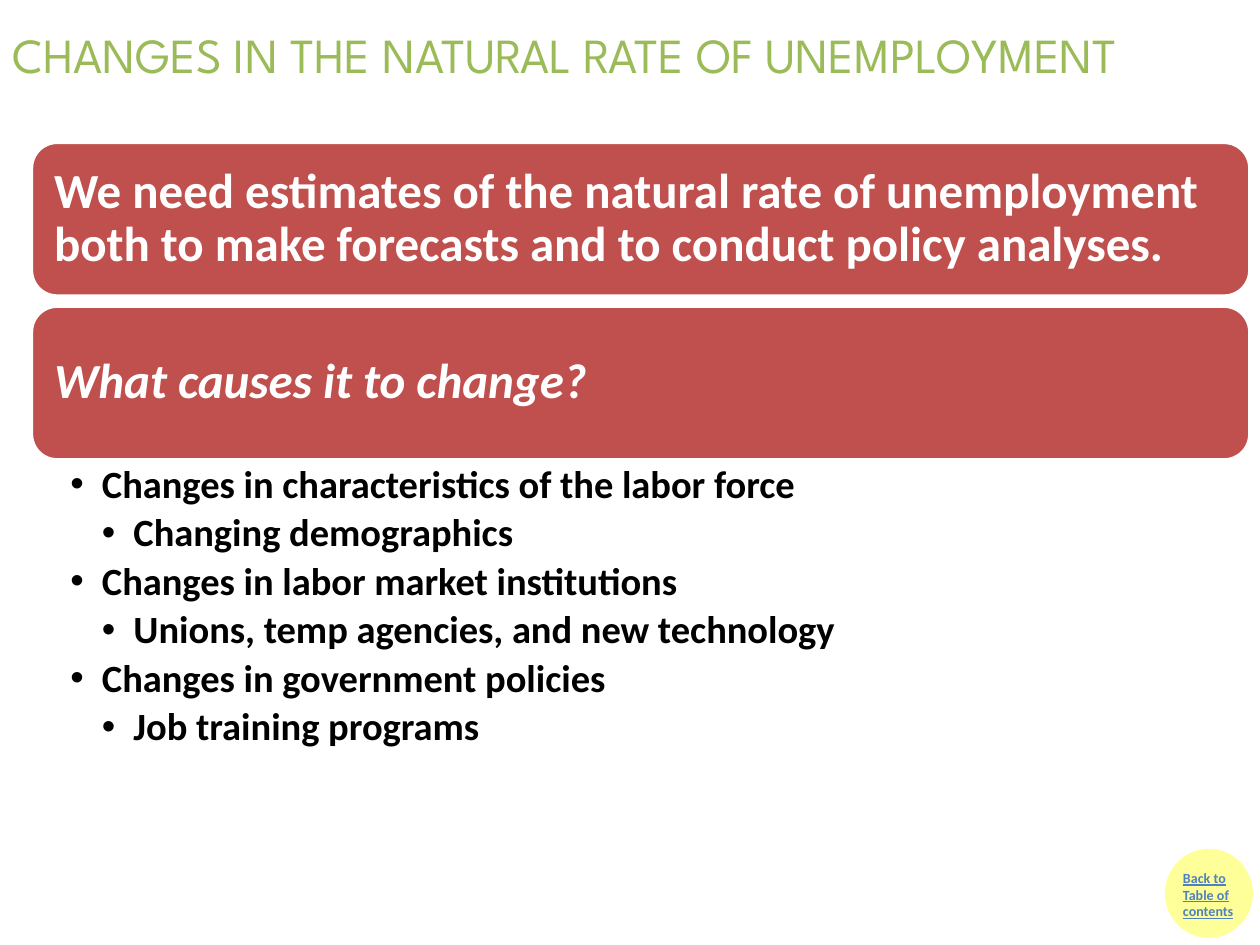
from dataclasses import dataclass

from lxml import etree
from pptx import Presentation
from pptx import util as u
from pptx.dml.color import RGBColor
from pptx.enum import shapes, text
from pptx.oxml.ns import qn


@dataclass(frozen=True)
class Theme:
    green: str = "9BBB59"
    red: str = "C0504D"
    yellow: str = "FFFF99"
    blue: str = "4F81BD"
    white: str = "FFFFFF"
    black: str = "000000"
    head: str = "League Spartan"
    body: str = "Calibri"
    big: int = 28
    mid: int = 22
    small: int = 8


theme = Theme()


def style(para, size, color, name=theme.body, bold=True):
    para.alignment = text.PP_ALIGN.LEFT
    for run in para.runs:
        font = run.font
        font.name, font.size, font.bold = name, u.Pt(size), bold
        font.color.rgb = RGBColor.from_string(color)


def panel(kind, box, fill, line):
    shape = slide.shapes.add_shape(kind, *map(u.Inches, box))
    shape.shadow.inherit = False
    shape.fill.solid()
    shape.fill.fore_color.rgb = RGBColor.from_string(fill)
    shape.line.color.rgb = RGBColor.from_string(line)
    shape.line.width = u.Pt(2)
    return shape


deck = Presentation()
deck.slide_width, deck.slide_height = u.Inches(10), u.Inches(7.5)
slide = deck.slides.add_slide(deck.slide_layouts[6])

panel(shapes.MSO_SHAPE.OVAL, (9.26, 6.75, 0.67, 0.68), theme.yellow, theme.yellow)
back = slide.shapes.add_textbox(*map(u.Inches, (9.29, 6.85, 0.72, 0.67))).text_frame
back.word_wrap = True
back.text = "Back to Table of contents"
style(back.paragraphs[0], theme.small, theme.blue)
back.paragraphs[0].runs[0].font.underline = True

title = slide.shapes.add_textbox(*map(u.Inches, (0, 0, 10, 0.92))).text_frame
title.word_wrap = True
title.vertical_anchor = text.MSO_ANCHOR.MIDDLE
title.text = "CHANGES IN THE NATURAL RATE OF UNEMPLOYMENT"
title.paragraphs[0].line_spacing = 0.9
style(title.paragraphs[0], theme.big, theme.green, theme.head, False)

left, top, width, height, step = 0.25, 1.13, 9.67, 1.22, 1.3
claims = [
    ("We need estimates of the natural rate of unemployment both to make "
     "forecasts and to conduct policy analyses.", False),
    ("What causes it to change?", True),
]
for row, (claim, slant) in enumerate(claims):
    box = (left, top + row * step, width, height)
    frame = panel(shapes.MSO_SHAPE.ROUNDED_RECTANGLE, box, theme.red, theme.white).text_frame
    frame.margin_left = frame.margin_right = u.Inches(0.12)
    frame.word_wrap = True
    frame.vertical_anchor = text.MSO_ANCHOR.MIDDLE
    frame.text = claim
    para = frame.paragraphs[0]
    para.line_spacing = 0.9
    style(para, theme.big, theme.white)
    para.runs[0].font.italic = slant

causes = [
    ("Changes in characteristics of the labor force", 1),
    ("Changing demographics", 2),
    ("Changes in labor market institutions", 1),
    ("Unions, temp agencies, and new technology", 2),
    ("Changes in government policies", 1),
    ("Job training programs", 2),
]
points = slide.shapes.add_textbox(*map(u.Inches, (left, 3.65, width, 2.47))).text_frame
points.word_wrap = True
points.margin_left, points.margin_right = u.Inches(0.31), u.Inches(0.22)
points.margin_top = points.margin_bottom = u.Inches(0.04)
for row, (cause, level) in enumerate(causes):
    para = points.add_paragraph() if row else points.paragraphs[0]
    para.text = cause
    para.level = level
    props = para._p.get_or_add_pPr()
    props.set("marL", str(u.Inches(0.25 * level)))
    props.set("indent", str(u.Inches(-0.25)))
    etree.SubElement(props, qn("a:buFont"), typeface="Arial")
    etree.SubElement(props, qn("a:buChar"), char="•")
    para.line_spacing = 0.9
    para.space_after = u.Pt(4)
    style(para, theme.mid, theme.black)

deck.save("out.pptx")
